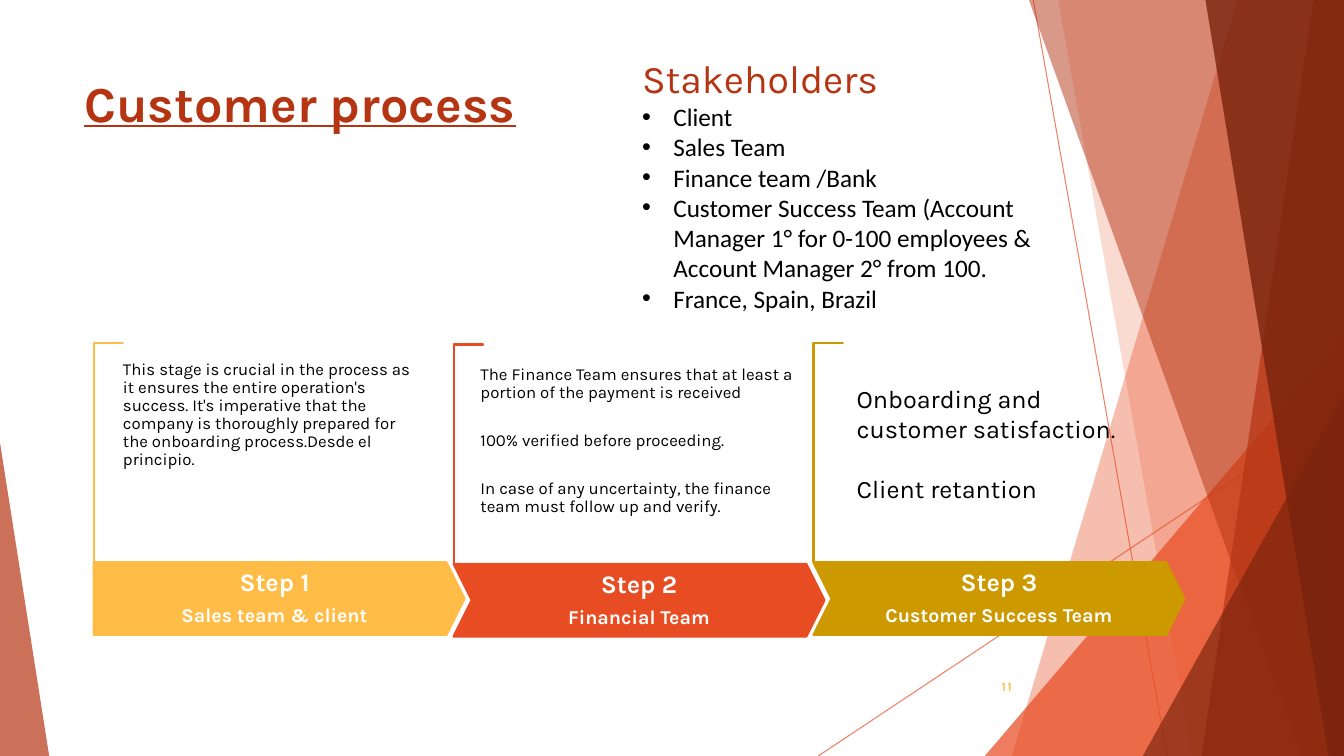
from lxml.etree import SubElement
from pptx import Presentation
from pptx.dml.color import RGBColor
from pptx.enum.shapes import MSO_CONNECTOR, MSO_SHAPE
from pptx.enum.text import MSO_ANCHOR, PP_ALIGN
from pptx.oxml.ns import qn
from pptx.util import Cm, Pt

WHITE = RGBColor(0xFF, 0xFF, 0xFF)
BLACK = RGBColor(0x00, 0x00, 0x00)
ORANGE = RGBColor(0xE8, 0x4C, 0x22)
RUST = RGBColor(0xB5, 0x35, 0x13)
MAROON = RGBColor(0x78, 0x23, 0x0D)
AMBER = RGBColor(0xFF, 0xBD, 0x47)
GOLD = RGBColor(0xCC, 0x99, 0x00)

WIDTH, HEIGHT = 33.87, 19.05
STEP_LEFT, STEP_PITCH = 2.36, 9.07
STEP_WIDTH, STEP_HEIGHT = 9.35, 1.83
BRACKET_LENGTH, BRACKET_DEPTH = 5.51, 0.74
BRACKET_RISE = 5.53


class ProcessSlide:
    font_name = "Karla"

    def __init__(self, slide):
        self.shapes = slide.shapes

    def set_opacity(self, element, percent):
        color = next(element.iter(qn("a:srgbClr")))
        SubElement(color, qn("a:alpha"), val=str(percent * 1000))

    def paint(self, shape, fill, line=None, opacity=None):
        shape.shadow.inherit = False
        shape.fill.solid()
        shape.fill.fore_color.rgb = fill
        if opacity is not None:
            self.set_opacity(shape._element.spPr, opacity)
        if line is None:
            shape.line.fill.background()
        else:
            shape.line.color.rgb = line
            shape.line.width = Pt(1.5)

    def ray(self, x1, y1, x2, y2):
        """Draw a thin translucent background line."""
        line = self.shapes.add_connector(
            MSO_CONNECTOR.STRAIGHT, Cm(x1), Cm(y1), Cm(x2), Cm(y2))
        line.line.color.rgb = ORANGE
        line.line.width = Pt(0.75)
        properties = line._element.spPr
        self.set_opacity(properties, 70)
        SubElement(properties, qn("a:effectLst"))

    def band(self, top_x, bottom_x, color, opacity):
        """Fill from a slanted edge to the right side of the slide."""
        builder = self.shapes.build_freeform(Cm(top_x), 0)
        builder.add_line_segments([
            (Cm(WIDTH), 0), (Cm(WIDTH), Cm(HEIGHT)), (Cm(bottom_x), Cm(HEIGHT))])
        self.paint(builder.convert_to_shape(), color, opacity=opacity)

    def preset(self, kind, left, top, width, height, adjustments):
        shape = self.shapes.add_shape(kind, Cm(left), Cm(top), Cm(width), Cm(height))
        for index, value in enumerate(adjustments):
            shape.adjustments[index] = value
        return shape

    def wedge(self, left, top, width, apex, color, opacity):
        """Draw a triangle that stands on the bottom of the slide."""
        triangle = self.preset(MSO_SHAPE.ISOSCELES_TRIANGLE,
                               left, top, width, HEIGHT - top, [apex])
        self.paint(triangle, color, opacity=opacity)

    def text_frame(self, left, top, width, height, insets=(0.25, 0.13),
                   anchor=MSO_ANCHOR.TOP):
        frame = self.shapes.add_textbox(
            Cm(left), Cm(top), Cm(width), Cm(height)).text_frame
        frame.word_wrap = True
        frame.vertical_anchor = anchor
        frame.margin_left = frame.margin_right = Cm(insets[0])
        frame.margin_top = frame.margin_bottom = Cm(insets[1])
        return frame

    def paragraph(self, frame, text, size, color, bold=False, font_name=None,
                  align=PP_ALIGN.LEFT, spacing=None, after=0, bullet=False,
                  underline=None, tracking=None):
        paragraph = frame.paragraphs[0]
        if paragraph.text:
            paragraph = frame.add_paragraph()
        paragraph.text = text
        paragraph.alignment = align
        paragraph.space_after = Pt(after)
        if spacing:
            paragraph.line_spacing = spacing
        if bullet:
            properties = paragraph._p.get_or_add_pPr()
            properties.set("marL", str(Cm(0.79)))
            properties.set("indent", str(-Cm(0.79)))
            SubElement(properties, qn("a:buFont"), typeface="Arial")
            SubElement(properties, qn("a:buChar"), char="•")
        font = paragraph.font
        font.name = font_name or self.font_name
        font.size = Pt(size)
        font.bold = bold
        font.underline = underline
        font.color.rgb = color
        if tracking:
            font._rPr.set("spc", str(tracking))

    def step(self, left, top, kind, color, label_box, title, team):
        """Draw a bracket and an arrow with its two-line label."""
        shift = (BRACKET_LENGTH - BRACKET_DEPTH) / 2
        bracket = self.preset(MSO_SHAPE.CORNER, left - shift, top - BRACKET_RISE + shift,
                              BRACKET_LENGTH, BRACKET_DEPTH, [0.01, 0.01])
        bracket.rotation = 90
        self.paint(bracket, WHITE, color)
        arrow = self.preset(kind, left, top, STEP_WIDTH, STEP_HEIGHT, [0.25])
        self.paint(arrow, color, color)
        offset, width = label_box
        label = self.text_frame(left + offset, top, width, STEP_HEIGHT,
                                (0.3, 0.64), MSO_ANCHOR.MIDDLE)
        for text, size in ((title, 18), (team, 14)):
            self.paragraph(label, text, size, WHITE, bold=True, align=PP_ALIGN.CENTER,
                           spacing=0.9, after=0.35 * size)

    def description(self, box, insets, texts, size, spacing, gap):
        frame = self.text_frame(*box, insets)
        for text in texts:
            after = gap if text != texts[-1] else 0
            self.paragraph(frame, text, size, BLACK, spacing=spacing, after=after)


def draw_background(page):
    page.ray(26.04, 0, 29.41, HEIGHT)
    page.ray(WIDTH, 10.24, 20.62, HEIGHT)
    page.band(31.19, 25.5, ORANGE, 36)
    page.band(26.67, 30.05, ORANGE, 20)
    page.wedge(24.82, 8.46, 9.04, 1, ORANGE, 72)
    page.band(25.93, 32.79, RUST, 50)
    page.band(33.1, 30.28, RUST, 70)
    page.band(30.38, 33.48, MAROON, 80)
    page.wedge(28.8, 9.98, 5.06, 1, MAROON, 66)
    page.wedge(0, 11.15, 1.24, 0, RUST, 70)


def draw_steps(page):
    steps = [
        (14.17, MSO_SHAPE.PENTAGON, AMBER, (0, 9.12), "Sales team & client"),
        (14.21, MSO_SHAPE.CHEVRON, ORANGE, (0.46, 8.43), "Financial Team"),
        (14.17, MSO_SHAPE.CHEVRON, GOLD, (0.46, 8.43), "Customer Success Team"),
    ]
    for index, (top, kind, color, label_box, team) in enumerate(steps):
        page.step(STEP_LEFT + index * STEP_PITCH, top, kind, color, label_box,
                  f"Step {index + 1}", team)

    page.description((3.1, 9.09, 7.59, 3.76), (0, 0), [
        "This stage is crucial in the process as it ensures the entire operation's "
        "success. It's imperative that the company is thoroughly prepared for the "
        "onboarding process.Desde el principio."], 12, 0.9, 0)
    page.description((11.86, 9.09, 8.64, 4.22), (0.25, 0.13), [
        "The Finance Team ensures that at least a portion of the payment is received",
        "100% verified before proceeding.",
        "In case of any uncertainty, the finance team must follow up and verify."],
        12, 0.9, 21.4)
    page.description((21.34, 9.53, 7.32, 3.33), (0.25, 0.13), [
        "Onboarding and customer satisfaction.", "Client retantion"], 18, None, 21.4)


def main():
    presentation = Presentation()
    presentation.slide_width, presentation.slide_height = Cm(WIDTH), Cm(HEIGHT)
    page = ProcessSlide(presentation.slides.add_slide(presentation.slide_layouts[6]))
    draw_background(page)

    title = page.text_frame(1.88, 1.7, 23.88, 3.66)
    page.paragraph(title, "Customer process", 36, RUST, bold=True, underline=True)
    draw_steps(page)

    page_number = page.text_frame(23.85, 16.79, 1.9, 1.02, anchor=MSO_ANCHOR.MIDDLE)
    page.paragraph(page_number, "11", 9, AMBER, bold=True, align=PP_ALIGN.RIGHT,
                   after=6, tracking=100)

    stakeholders = page.text_frame(15.93, 1.24, 11.91, 6.83)
    page.paragraph(stakeholders, "Stakeholders", 28, RUST)
    for stakeholder in (
            "Client", "Sales Team", "Finance team /Bank",
            "Customer Success Team (Account Manager 1° for 0-100 employees & "
            "Account Manager 2° from 100.",
            "France, Spain, Brazil"):
        page.paragraph(stakeholders, stakeholder, 18, BLACK, font_name="Calibri", bullet=True)

    presentation.save("out.pptx")


if __name__ == "__main__":
    main()
